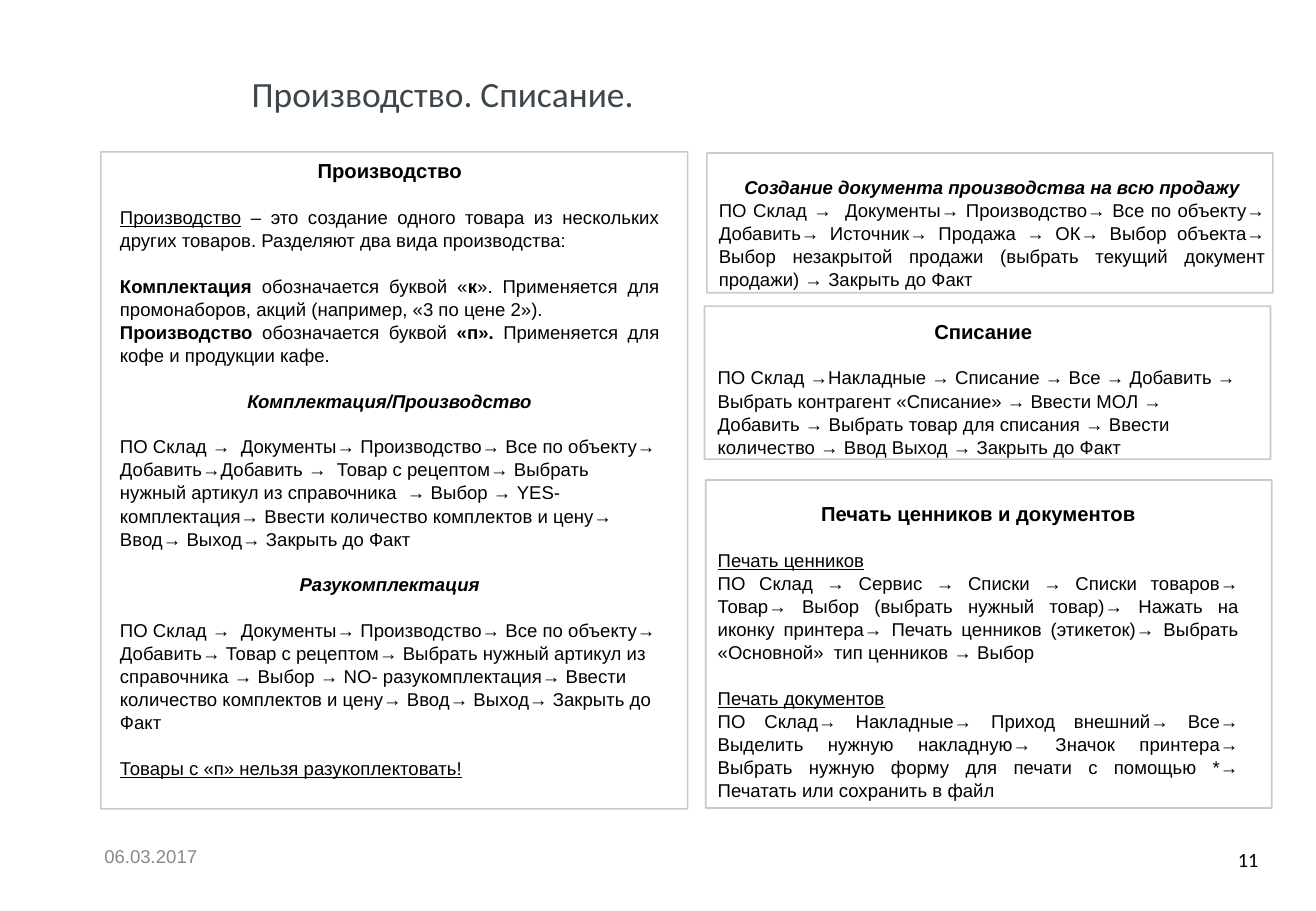
from lxml.etree import SubElement
from pptx import Presentation
from pptx.dml.color import RGBColor
from pptx.enum.shapes import MSO_SHAPE as Shape
from pptx.enum.text import MSO_ANCHOR as Anchor, PP_ALIGN as Align
from pptx.oxml.ns import qn
from pptx.util import Pt

BLACK = RGBColor(0, 0, 0)
TITLE_GREY = RGBColor(0x3D, 0x46, 0x4A)
DATE_GREY = RGBColor(0x89, 0x89, 0x89)
FRAME_GREY = RGBColor(0xA6, 0xA6, 0xA6)
LEFT, CENTER, RIGHT, JUSTIFY = Align.LEFT, Align.CENTER, Align.RIGHT, Align.JUSTIFY
GAP = 13.2
LINE_HEIGHT = 1.04

BODY = {"name": "Arial", "size": Pt(11)}
HEADING = {**BODY, "size": Pt(12), "bold": True}
BOLD = {**BODY, "bold": True}
SUBHEADING = {**BOLD, "italic": True}
UNDERLINED = {**BODY, "underline": True}


def fill_text(frame, paragraphs, color=BLACK, anchor=Anchor.TOP):
    """Write paragraphs given as (space before, alignment, (text, format)...)."""
    frame.word_wrap = True
    frame.vertical_anchor = anchor
    for index, (space, align, *spans) in enumerate(paragraphs):
        para = frame.add_paragraph() if index else frame.paragraphs[0]
        para.alignment = align
        para.space_before = Pt(space)
        para.line_spacing = LINE_HEIGHT
        for text, style in spans:
            span = para.add_run()
            span.text = text
            span.font.color.rgb = color
            for key, value in style.items():
                setattr(span.font, key, value)


deck = Presentation()
deck.slide_width, deck.slide_height = Pt(780), Pt(540)
slide = deck.slides.add_slide(deck.slide_layouts[5])

title = slide.shapes.title
title.left, title.top, title.width, title.height = Pt(142), Pt(32.5), Pt(492.5), Pt(44.5)
fill_text(title.text_frame,
          [(0, LEFT, ("Производство. Списание.", {"name": "Calibri", "size": Pt(21)}))],
          TITLE_GREY, Anchor.MIDDLE)

# Frames: left, top, width, height
frames = [
    (59.8, 90, 347.8, 389.5),
    (419, 90.7, 335.5, 82.8),
    (417.6, 181.5, 335.5, 90.7),
    (418.3, 284.5, 335.5, 194.5),
]
for bounds in frames:
    frame = slide.shapes.add_shape(Shape.RECTANGLE, *map(Pt, bounds))
    frame.shadow.inherit = False
    frame.fill.background()
    frame.line.color.rgb = FRAME_GREY
    frame.line.width = Pt(1)
    color = frame.line._ln.find(f".//{qn('a:srgbClr')}")
    SubElement(color, qn("a:alpha"), val="60000")

production = [
    (0, CENTER, ("Производство", HEADING)),
    (GAP, JUSTIFY, ("Производство", UNDERLINED),
     (" – это создание одного товара из нескольких других товаров. "
      "Разделяют два вида производства:", BODY)),
    (GAP, JUSTIFY, ("Комплектация", BOLD), (" обозначается буквой «", BODY), ("к", BOLD),
     ("». Применяется для промонаборов, акций (например, «3 по цене 2»).", BODY)),
    (0, JUSTIFY, ("Производство ", BOLD), ("обозначается буквой ", BODY), ("«п». ", BOLD),
     ("Применяется для кофе и продукции кафе.", BODY)),
    (GAP, CENTER, ("Комплектация/Производство", SUBHEADING)),
    (GAP, LEFT, ("ПО Склад →  Документы→ Производство→ Все по объекту→ Добавить→Добавить →  "
                 "Товар с рецептом→ Выбрать нужный артикул из справочника  → Выбор → YES- "
                 "комплектация→ Ввести количество комплектов и цену→ Ввод→ Выход→ "
                 "Закрыть до Факт", BODY)),
    (GAP, CENTER, ("Разукомплектация", SUBHEADING)),
    (GAP, LEFT, ("ПО Склад →  Документы→ Производство→ Все по объекту→ Добавить→ "
                 "Товар с рецептом→ Выбрать нужный артикул из справочника → Выбор → NO- "
                 "разукомплектация→ Ввести количество комплектов и цену→ Ввод→ Выход→ "
                 "Закрыть до Факт", BODY)),
    (GAP, LEFT, ("Товары с «п» нельзя разукоплектовать!", UNDERLINED)),
]
sale_document = [
    (0, CENTER, ("Создание документа производства на всю продажу", SUBHEADING)),
    (0, JUSTIFY, ("ПО Склад →  Документы→ Производство→ Все по объекту→ Добавить→ Источник→ "
                  "Продажа → ОК→ Выбор объекта→ Выбор незакрытой продажи (выбрать текущий "
                  "документ продажи) → Закрыть до Факт", BODY)),
]
write_off = [
    (0, CENTER, ("Списание", HEADING)),
    (GAP, LEFT, ("ПО Склад →Накладные → Списание → Все → Добавить → Выбрать контрагент "
                 "«Списание» → Ввести МОЛ → Добавить → Выбрать товар для списания → Ввести "
                 "количество → Ввод Выход → Закрыть до Факт", BODY)),
]
printing = [
    (0, CENTER, ("Печать ценников и документов", HEADING)),
    (GAP, JUSTIFY, ("Печать ценников", UNDERLINED)),
    (0, JUSTIFY, ("ПО Склад → Сервис → Списки → Списки товаров→ Товар→ Выбор (выбрать нужный "
                  "товар)→ Нажать на иконку принтера→ Печать ценников (этикеток)→ Выбрать "
                  "«Основной»  тип ценников → Выбор", BODY)),
    (GAP, JUSTIFY, ("Печать документов", UNDERLINED)),
    (0, JUSTIFY, ("ПО Склад→ Накладные→ Приход внешний→ Все→ Выделить нужную накладную→ "
                  "Значок принтера→ Выбрать нужную форму для печати с помощью *→ Печатать или "
                  "сохранить в файл", BODY)),
]
date = [(0, LEFT, ("06.03.2017", BODY))]
page_number = [(0, RIGHT, ("11", {"name": "Calibri", "size": Pt(12)}))]

# Text boxes: bounds, paragraphs, colour, anchor
boxes = [
    ((64, 90, 334, 369), production, BLACK, Anchor.TOP),
    ((419, 100, 338.4, 76), sale_document, BLACK, Anchor.TOP),
    ((418.3, 185, 329, 88), write_off, BLACK, Anchor.TOP),
    ((418.3, 293, 323.3, 184), printing, BLACK, Anchor.TOP),
    ((54.7, 492.5, 182, 29), date, DATE_GREY, Anchor.MIDDLE),
    ((717, 494.6, 36, 29), page_number, BLACK, Anchor.MIDDLE),
]
for bounds, paragraphs, color, anchor in boxes:
    box = slide.shapes.add_textbox(*map(Pt, bounds))
    fill_text(box.text_frame, paragraphs, color, anchor)

deck.save("out.pptx")
